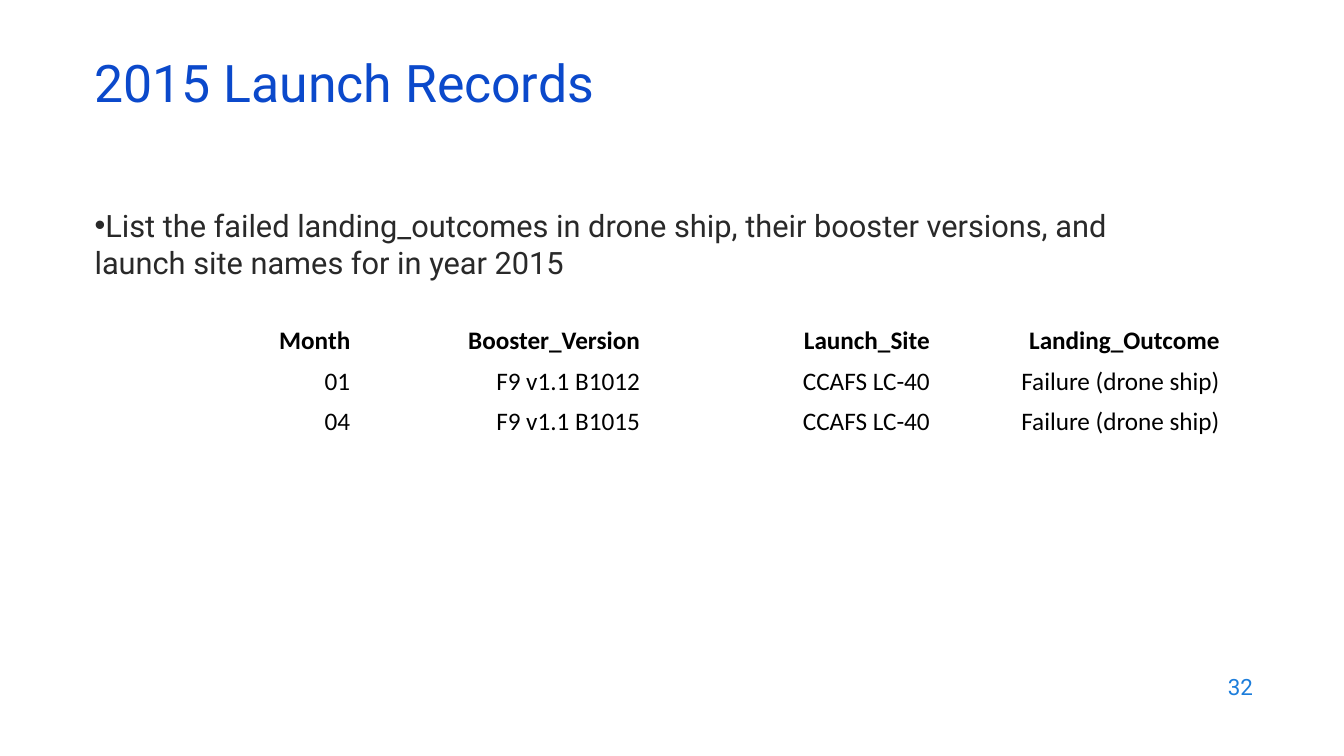
from pptx import Presentation
from pptx.dml.color import RGBColor
from pptx.enum.text import MSO_ANCHOR as Anchor, PP_ALIGN as Align
from pptx.oxml.ns import qn
from pptx.util import Pt
from lxml.etree import SubElement

TITLE_BLUE = RGBColor(0x0B, 0x49, 0xCB)
NUMBER_BLUE = RGBColor(0x1C, 0x7D, 0xDB)
BODY_GRAY = RGBColor(0x29, 0x29, 0x29)
BLACK = RGBColor(0, 0, 0)
WHITE = RGBColor(0xFF, 0xFF, 0xFF)

LAUNCHES = [
    ("Month", "Booster_Version", "Launch_Site", "Landing_Outcome"),
    ("01", "F9 v1.1 B1012", "CCAFS LC-40", "Failure (drone ship)"),
    ("04", "F9 v1.1 B1015", "CCAFS LC-40", "Failure (drone ship)"),
]


def style_font(font, name, size, color, bold=False):
    font.name = name
    font.size = Pt(size)
    font.color.rgb = color
    font.bold = bold


def add_text(slide, box, text, size, color, anchor=Anchor.MIDDLE, align=Align.LEFT):
    """Add a one-paragraph text box and return the paragraph."""
    text_frame = slide.shapes.add_textbox(*map(Pt, box)).text_frame
    text_frame.word_wrap = True
    text_frame.vertical_anchor = anchor
    text_frame.text = text
    paragraph = text_frame.paragraphs[0]
    paragraph.alignment = align
    style_font(paragraph.runs[0].font, "Roboto", size, color)
    return paragraph


def add_title(slide, box):
    paragraph = add_text(slide, box, "2015 Launch Records", 37, TITLE_BLUE)
    paragraph.line_spacing = 0.7


def add_task(slide, box):
    text = ("List the failed landing_outcomes in drone ship, their booster versions, "
            "and launch site names for in year 2015")
    paragraph = add_text(slide, box, text, 22, BODY_GRAY, Anchor.TOP)
    properties = paragraph._p.get_or_add_pPr()
    properties.set("marL", "0")
    properties.set("indent", "0")
    SubElement(properties, qn("a:buFont")).set("typeface", "Arial")
    SubElement(properties, qn("a:buChar")).set("char", "•")


def add_launch_table(slide, box):
    frame = slide.shapes.add_table(len(LAUNCHES), len(LAUNCHES[0]), *map(Pt, box))
    table = frame.table
    table.first_row = False
    table.horz_banding = False
    for row_index, values in enumerate(LAUNCHES):
        for column_index, value in enumerate(values):
            cell = table.cell(row_index, column_index)
            cell.fill.solid()
            cell.fill.fore_color.rgb = WHITE
            cell.vertical_anchor = Anchor.MIDDLE
            cell.text_frame.text = value
            paragraph = cell.text_frame.paragraphs[0]
            paragraph.alignment = Align.RIGHT
            style_font(paragraph.runs[0].font, "Calibri", 18, BLACK, bold=row_index == 0)


def add_slide_number(slide, box):
    add_text(slide, box, "32", 16, NUMBER_BLUE, align=Align.RIGHT)


def main():
    presentation = Presentation()
    presentation.slide_width = Pt(960)
    presentation.slide_height = Pt(540)
    slide = presentation.slides.add_slide(presentation.slide_layouts[6])
    add_slide_number(slide, (686, 474.5, 216, 31.5))
    add_task(slide, (60.5, 144, 767.5, 342.5))
    add_title(slide, (60.5, 42.5, 828, 43))
    add_launch_table(slide, (50.4, 229, 828, 86.4))
    presentation.save("out.pptx")


if __name__ == "__main__":
    main()
